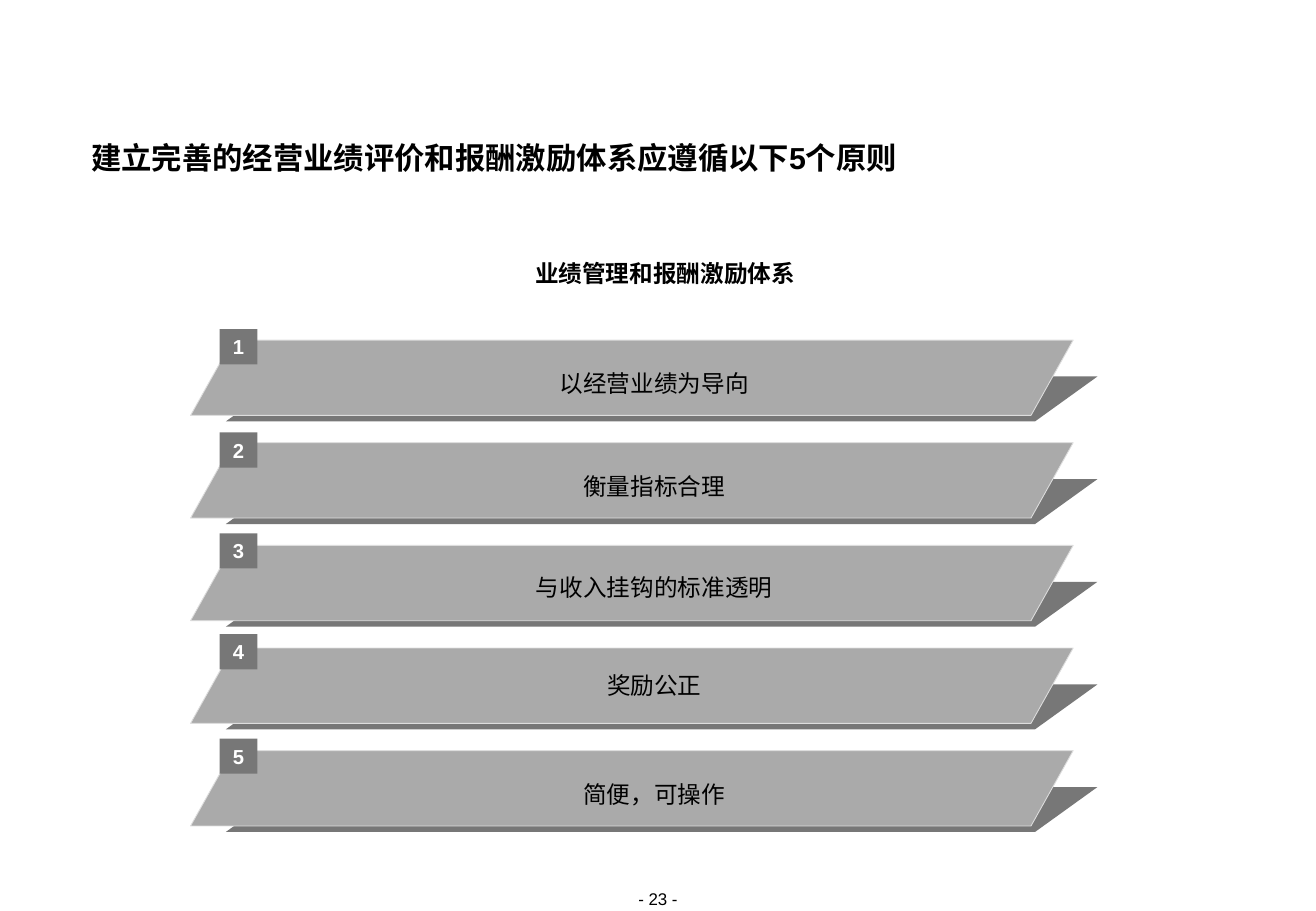
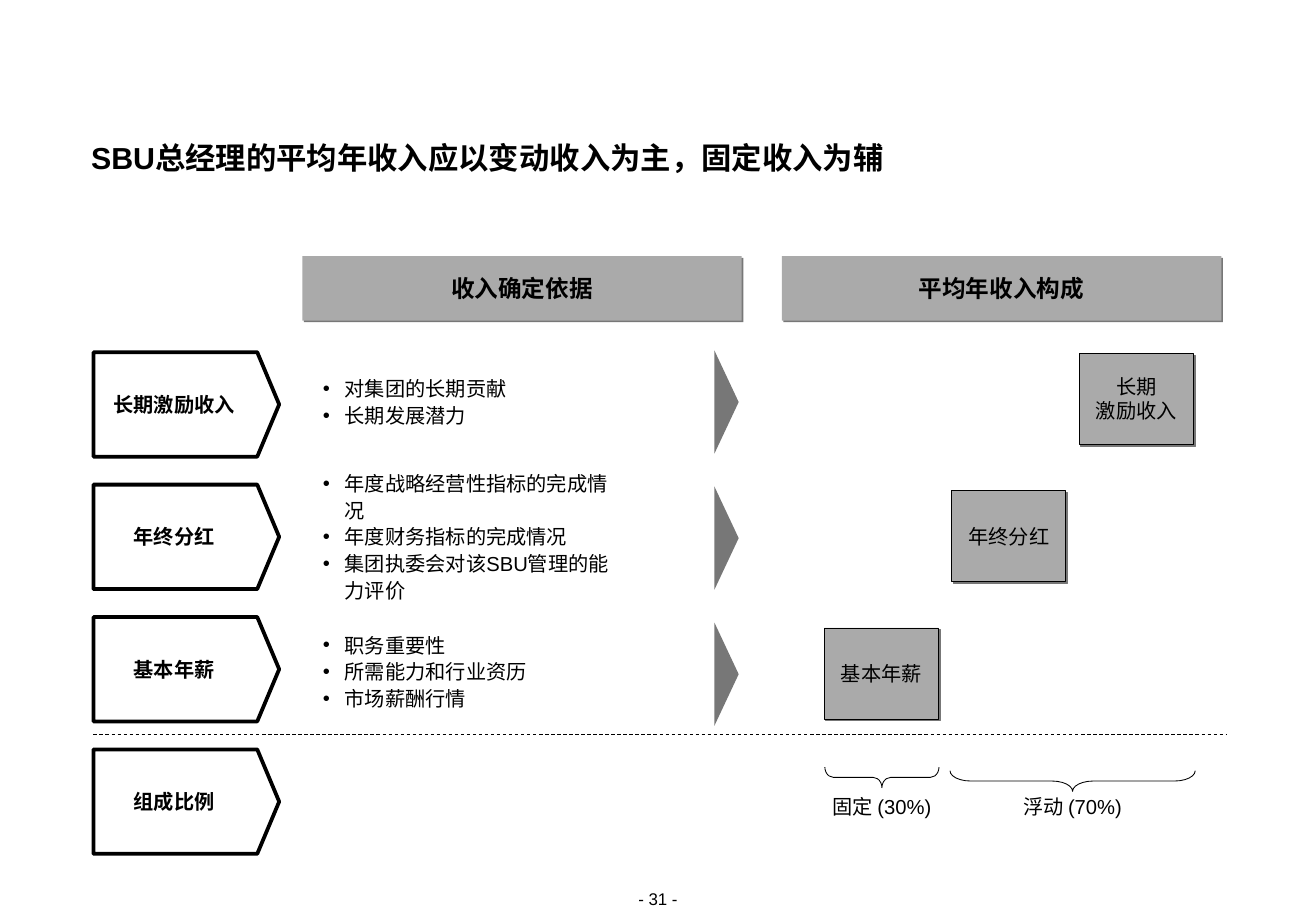
from dataclasses import dataclass
from typing import Optional

from lxml.etree import SubElement
from pptx import Presentation
from pptx.dml.color import RGBColor
from pptx.enum.dml import MSO_LINE_DASH_STYLE as Dash
from pptx.enum.shapes import MSO_CONNECTOR as Connector, MSO_SHAPE as Shape
from pptx.enum.text import MSO_ANCHOR as Anchor, MSO_AUTO_SIZE as AutoSize, PP_ALIGN as Align
from pptx.oxml.ns import qn
from pptx.util import Inches, Pt

BLACK, WHITE = "000000", "FFFFFF"
DARK, LIGHT, EDGE = "777777", "AAAAAA", "DDDDDD"
FONT = "Arial"


@dataclass(frozen=True)
class Box:
    left: float
    top: float
    width: float
    height: float

    def lengths(self) -> tuple:
        return tuple(Inches(v) for v in (self.left, self.top, self.width, self.height))


@dataclass(frozen=True)
class TextStyle:
    size: float = 12
    bold: bool = False
    colour: str = BLACK
    align: Align = Align.CENTER
    spacing: Optional[float] = None
    anchor: Anchor = Anchor.MIDDLE
    bullet: bool = False


@dataclass(frozen=True)
class Principle:
    text: str
    badge_top: float
    text_top: float


@dataclass(frozen=True)
class IncomePart:
    name: str
    grounds: tuple
    box_text: str


@dataclass(frozen=True)
class Share:
    text: str
    brace: Box
    curve: float


TITLE = TextStyle(18, True, align=Align.LEFT, spacing=Pt(20), anchor=Anchor.TOP)
PAGE_NUMBER = TextStyle(10, anchor=Anchor.TOP)
BADGE = TextStyle(12, True, WHITE)
PRINCIPLE = TextStyle(14, spacing=1.4)
SYSTEM_NAME = TextStyle(14, True, spacing=1.4)
HEADER = TextStyle(14, True)
STAGE = TextStyle(12, True)
GROUNDS = TextStyle(align=Align.LEFT, spacing=1.1, bullet=True)
COMPACT = TextStyle(spacing=Pt(14))

PRINCIPLES = (
    Principle("以经营业绩为导向", 2.71, 2.94),
    Principle("衡量指标合理", 3.56, 3.79),
    Principle("与收入挂钩的标准透明", 4.39, 4.62),
    Principle("奖励公正", 5.22, 5.43),
    Principle("简便，可操作", 6.08, 6.33),
)
INCOME_PARTS = (
    IncomePart("长期激励收入", ("对集团的长期贡献", "长期发展潜力"), "长期\n激励收入"),
    IncomePart(
        "年终分红",
        ("年度战略经营性指标的完成情况", "年度财务指标的完成情况", "集团执委会对该SBU管理的能力评价"),
        "年终分红",
    ),
    IncomePart("基本年薪", ("职务重要性", "所需能力和行业资历", "市场薪酬行情"), "基本年薪"),
)
SHARES = (
    Share("固定 (30%)", Box(7.18, 5.93, 0.17, 0.94), 0.42),
    Share("浮动 (70%)", Box(8.75, 5.42, 0.17, 2.02), 1),
)


def rgb(colour: str) -> RGBColor:
    return RGBColor.from_string(colour)


def add_bullet(paragraph) -> None:
    properties = paragraph._p.get_or_add_pPr()
    properties.set("marL", str(Inches(0.19)))
    properties.set("indent", str(Inches(-0.18)))
    colour = SubElement(properties, qn("a:buClr"))
    SubElement(colour, qn("a:srgbClr")).set("val", BLACK)
    SubElement(properties, qn("a:buFont")).set("typeface", FONT)
    SubElement(properties, qn("a:buChar")).set("char", "•")


def write(shape, style: TextStyle, *texts: str) -> None:
    frame = shape.text_frame
    frame.word_wrap = True
    frame.auto_size = AutoSize.NONE
    frame.vertical_anchor = style.anchor
    frame.margin_left = frame.margin_right = frame.margin_top = frame.margin_bottom = 0
    for index, text in enumerate(texts):
        paragraph = frame.add_paragraph() if index else frame.paragraphs[0]
        paragraph.text = text
        if style.bullet:
            add_bullet(paragraph)
        paragraph.alignment = style.align
        paragraph.line_spacing = style.spacing
        paragraph.font.name = FONT
        paragraph.font.size = Pt(style.size)
        paragraph.font.bold = style.bold
        paragraph.font.color.rgb = rgb(style.colour)


def add_text(slide, box: Box, style: TextStyle, *texts: str) -> None:
    write(slide.shapes.add_textbox(*box.lengths()), style, *texts)


def add_shape(slide, kind: Shape, box: Box, fill: Optional[str] = None, line: Optional[str] = None,
              width: float = 0.5, adjust: Optional[float] = None, rotation: float = 0):
    shape = slide.shapes.add_shape(kind, *box.lengths())
    shape.shadow.inherit = False
    shape.rotation = rotation
    if adjust is not None:
        shape.adjustments[0] = adjust
    if fill:
        shape.fill.solid()
        shape.fill.fore_color.rgb = rgb(fill)
    else:
        shape.fill.background()
    if line:
        shape.line.color.rgb = rgb(line)
        shape.line.width = Pt(width)
    else:
        shape.line.fill.background()
    return shape


def add_shadowed_box(slide, box: Box, style: TextStyle, text: str, line: Optional[str] = None) -> None:
    shape = add_shape(slide, Shape.RECTANGLE, box, LIGHT, line)
    effects = shape._element.spPr.find(qn("a:effectLst"))
    shadow = SubElement(effects, qn("a:outerShdw"), dist=str(Pt(1.4)), dir="2700000", algn="ctr", rotWithShape="0")
    SubElement(shadow, qn("a:srgbClr")).set("val", DARK)
    write(shape, style, text)


def add_dashed_line(slide, left: float, right: float, top: float) -> None:
    connector = slide.shapes.add_connector(
        Connector.STRAIGHT, Inches(left), Inches(top), Inches(right), Inches(top))
    connector.line.color.rgb = rgb(BLACK)
    connector.line.width = Pt(0.5)
    connector.line.dash_style = Dash.DASH
    SubElement(connector._element.spPr, qn("a:effectLst"))


def add_titled_slide(presentation, title: str, number: int):
    slide = presentation.slides.add_slide(presentation.slide_layouts[5])
    placeholder = slide.shapes.title
    placeholder.left, placeholder.top, placeholder.width, placeholder.height = Box(0.75, 1.17, 9.33, 0.28).lengths()
    write(placeholder, TITLE, title)
    add_text(slide, Box(4.85, 7.32, 1.14, 0.17), PAGE_NUMBER, f"- {number} -")
    return slide


def build_principles(presentation) -> None:
    slide = add_titled_slide(presentation, "建立完善的经营业绩评价和报酬激励体系应遵循以下5个原则", 23)
    add_text(slide, Box(3.98, 2.04, 3, 0.33), SYSTEM_NAME, "业绩管理和报酬激励体系")
    pitch = (6.18 - 2.8) / (len(PRINCIPLES) - 1)
    for index, principle in enumerate(PRINCIPLES):
        top = 2.8 + index * pitch
        add_shape(slide, Shape.PARALLELOGRAM, Box(1.86, top + 0.3, 7.18, 0.37), DARK, adjust=1.39)
        add_shape(slide, Shape.PARALLELOGRAM, Box(1.57, top, 7.27, 0.62), LIGHT, EDGE, adjust=0.56)
        badge = add_shape(slide, Shape.RECTANGLE, Box(1.81, principle.badge_top, 0.31, 0.29), DARK)
        write(badge, BADGE, str(index + 1))
        add_text(slide, Box(3.89, principle.text_top, 3, 0.33), PRINCIPLE, principle.text)


def build_income(presentation) -> None:
    slide = add_titled_slide(presentation, "SBU总经理的平均年收入应以变动收入为主，固定收入为辅", 31)
    for left, text in ((2.49, "收入确定依据"), (6.44, "平均年收入构成")):
        add_shadowed_box(slide, Box(left, 2.11, 3.62, 0.53), HEADER, text)

    stages = [part.name for part in INCOME_PARTS] + ["组成比例"]
    for index, name in enumerate(stages):
        box = Box(0.77, 2.9 + 1.09 * index, 1.53, 0.86)
        stage = add_shape(slide, Shape.PENTAGON, box, line=BLACK, width=2.25, adjust=0.21)
        write(stage, STAGE, name)
        stage.text_frame.margin_right = Inches(0.11)

    for index, part in enumerate(INCOME_PARTS):
        add_text(slide, Box(2.65, 2.75 + 1.11 * index, 2.38, 1.1), GROUNDS, *part.grounds)
        add_shape(slide, Shape.FLOWCHART_MERGE, Box(5.56, 3.21 + 1.12 * index, 0.85, 0.2), DARK, rotation=270)
        box = Box(8.89 - 1.05 * index, 2.91 + 1.13 * index, 0.94, 0.75)
        add_shadowed_box(slide, box, COMPACT, part.box_text, BLACK)

    add_dashed_line(slide, 0.77, 10.1, 6.05)
    for share in SHARES:
        brace = share.brace
        add_shape(slide, Shape.LEFT_BRACE, brace, line=BLACK, adjust=share.curve, rotation=270)
        centre = brace.left + brace.width / 2
        add_text(slide, Box(centre - 0.6, 6.55, 1.2, 0.19), COMPACT, share.text)


def main() -> None:
    presentation = Presentation()
    presentation.slide_width, presentation.slide_height = Inches(10.84), Inches(7.5)
    build_principles(presentation)
    build_income(presentation)
    presentation.save("out.pptx")


if __name__ == "__main__":
    main()
